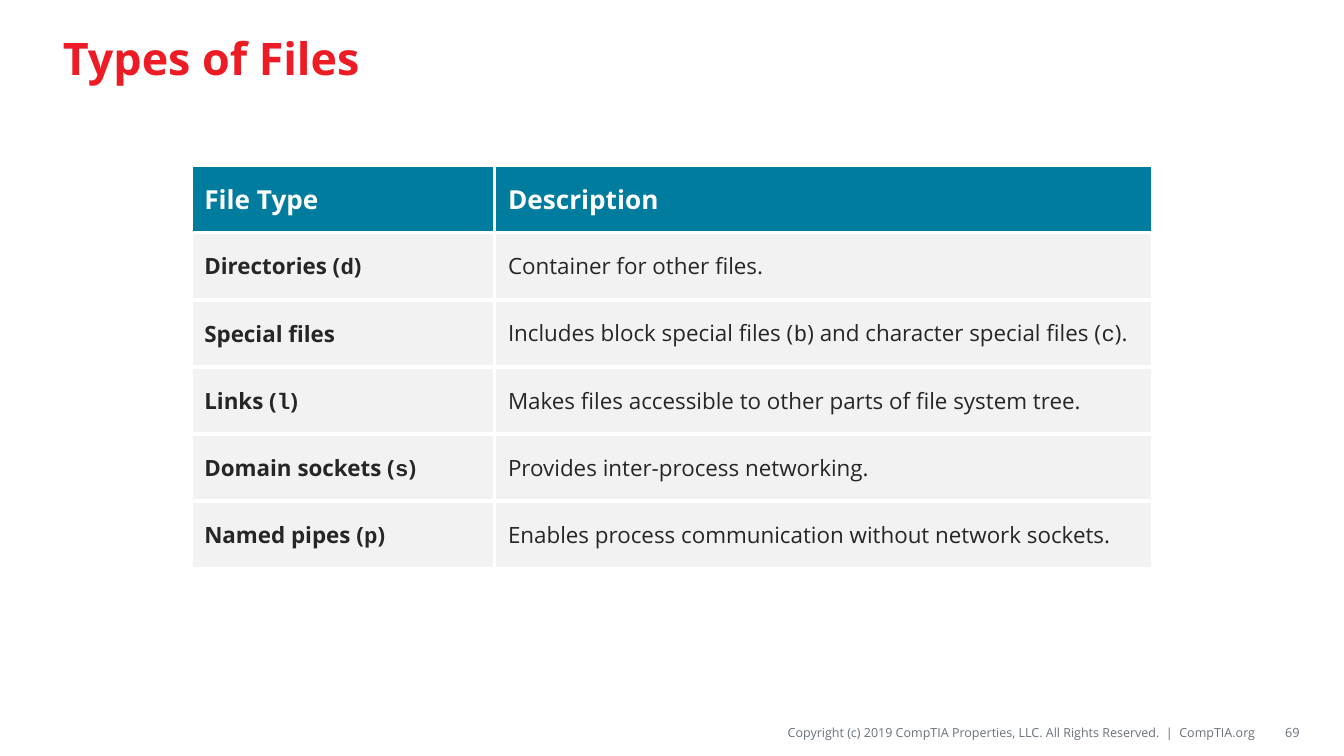
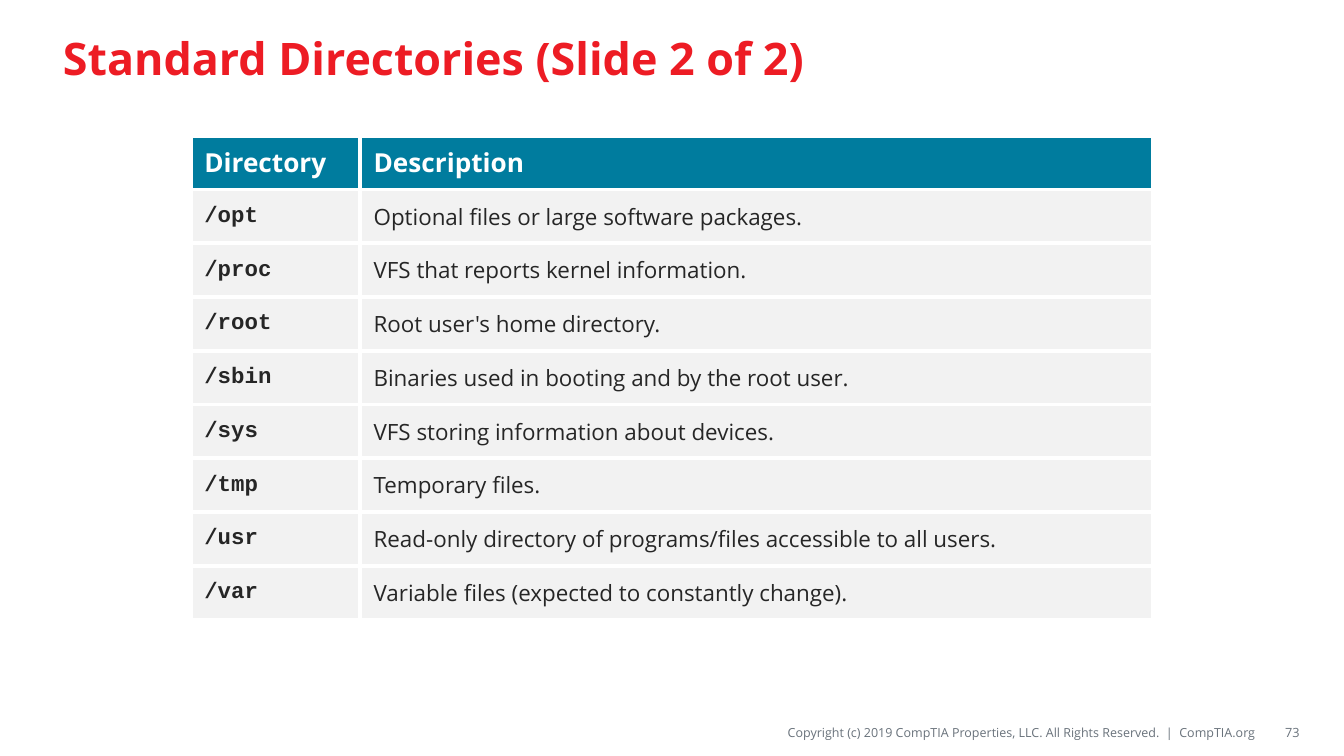
from lxml import etree
from pptx import Presentation
from pptx.dml.color import RGBColor
from pptx.enum.text import MSO_ANCHOR, PP_ALIGN
from pptx.oxml.ns import qn
from pptx.util import Inches, Pt

MIDDLE = MSO_ANCHOR.MIDDLE
LEFT, RIGHT = PP_ALIGN.LEFT, PP_ALIGN.RIGHT

RED = RGBColor(0xED, 0x1C, 0x24)
TEAL = RGBColor(0x00, 0x7C, 0x9E)
WHITE = RGBColor(0xFF, 0xFF, 0xFF)
LIGHT = RGBColor(0xF2, 0xF2, 0xF2)
DARK = RGBColor(0x26, 0x26, 0x26)
GRAY = RGBColor(0x69, 0x72, 0x7B)

FONT, CODE_FONT = "Open Sans", "Courier New"
COPYRIGHT = "Copyright (c) 2019 CompTIA Properties, LLC. All Rights Reserved.  |  CompTIA.org"
TITLE_STYLE = {"size": 24, "color": RED, "bold": True}
COPYRIGHT_STYLE = {"size": 6.7, "color": GRAY, "align": RIGHT}
NUMBER_STYLE = {"size": 6.8, "color": GRAY, "align": RIGHT}

SLIDES = [
    {
        "title": "Types of Files", "number": "69",
        "top": 1.23, "row_height": 0.5, "columns": [2.26, 4.9],
        "rows": [
            ("File Type", "Description"),
            ("Directories (`d`)", "Container for other files."),
            ("Special files", "Includes block special files (`b`) and character special files (`c`)."),
            ("Links (`l`)", "Makes files accessible to other parts of file system tree."),
            ("Domain sockets (`s`)", "Provides inter-process networking."),
            ("Named pipes (`p`)", "Enables process communication without network sockets."),
        ],
    },
    {
        "title": "Standard Directories (Slide 2 of 2)", "number": "73",
        "top": 1.01, "row_height": 0.4, "columns": [1.26, 5.9],
        "rows": [
            ("Directory", "Description"),
            ("`/opt`", "Optional files or large software packages."),
            ("`/proc`", "VFS that reports kernel information."),
            ("`/root`", "Root user's home directory."),
            ("`/sbin`", "Binaries used in booting and by the root user."),
            ("`/sys`", "VFS storing information about devices."),
            ("`/tmp`", "Temporary files."),
            ("`/usr`", "Read-only directory of programs/files accessible to all users."),
            ("`/var`", "Variable files (expected to constantly change)."),
        ],
    },
]


def write(tf, text, size=12, color=DARK, bold=False, align=LEFT):
    """Write text on one line; parts between backticks use the code font."""
    tf.word_wrap = True
    p = tf.paragraphs[0]
    p.alignment = align
    for i, part in enumerate(text.split("`")):
        if part:
            r = p.add_run()
            r.text = part
            r.font.name = CODE_FONT if i % 2 else FONT
            r.font.size = Pt(size)
            r.font.bold = bold
            r.font.color.rgb = color


def set_borders(cell, color=WHITE, width=2.25):
    tcPr = cell._tc.get_or_add_tcPr()
    for side in ("a:lnL", "a:lnR", "a:lnT", "a:lnB"):
        ln = etree.SubElement(tcPr, qn(side), w=str(Pt(width)))
        fill = etree.SubElement(ln, qn("a:solidFill"))
        etree.SubElement(fill, qn("a:srgbClr"), val=str(color))


prs = Presentation()
prs.slide_width = Inches(10)
prs.slide_height = prs.slide_width * 9 // 16

for data in SLIDES:
    s = prs.slides.add_slide(prs.slide_layouts[6])

    for text, box, insets, style in [
        (COPYRIGHT, (3.88, 5.34, 5.47, 0.22), (0, 0.04, 0, 0.04), COPYRIGHT_STYLE),
        (data["title"], (0.37, 0.08, 9.25, 0.69), (0.1, 0.05, 0.1, 0.05), TITLE_STYLE),
        (data["number"], (9.38, 5.34, 0.29, 0.22), (0.1, 0.05, 0, 0.05), NUMBER_STYLE),
    ]:
        tf = s.shapes.add_textbox(*map(Inches, box)).text_frame
        tf.vertical_anchor = MIDDLE
        tf.margin_left, tf.margin_top, tf.margin_right, tf.margin_bottom = map(Inches, insets)
        write(tf, text, **style)

    rows, columns = data["rows"], data["columns"]
    table = s.shapes.add_table(
        len(rows), len(columns), Inches(1.42), Inches(data["top"]),
        Inches(sum(columns)), Inches(data["row_height"] * len(rows)),
    ).table
    table.horz_banding = False
    for column, width in zip(table.columns, columns):
        column.width = Inches(width)
    for i, row in enumerate(rows):
        table.rows[i].height = Inches(data["row_height"])
        for j, text in enumerate(row):
            cell = table.cell(i, j)
            cell.vertical_anchor = MIDDLE
            set_borders(cell)
            cell.fill.solid()
            cell.fill.fore_color.rgb = LIGHT if i else TEAL
            if i == 0:
                write(cell.text_frame, text, size=14, color=WHITE, bold=True)
            else:
                write(cell.text_frame, text, bold=j == 0)

prs.save("out.pptx")
